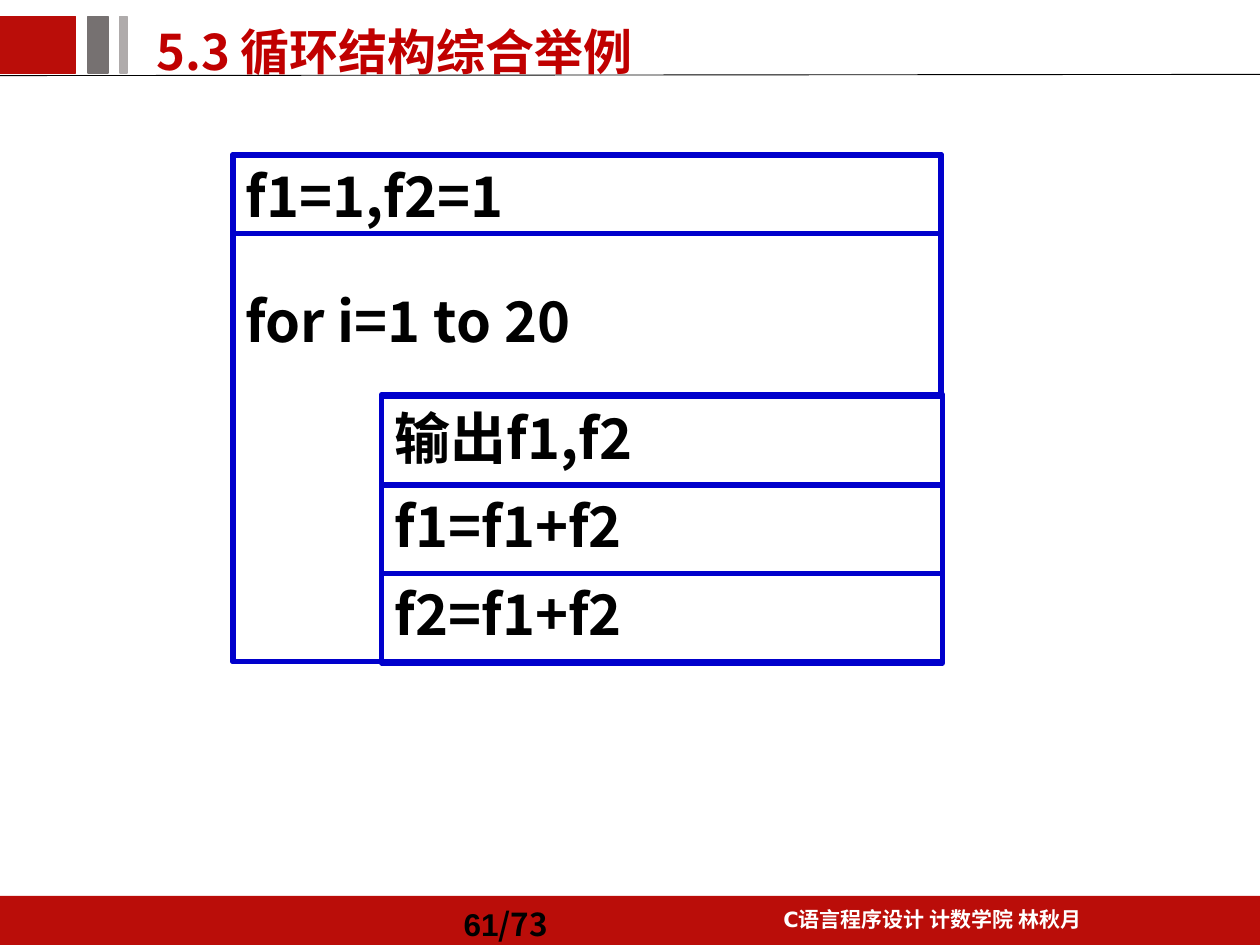
from lxml.etree import SubElement
from pptx import Presentation
from pptx.dml.color import RGBColor
from pptx.enum.shapes import MSO_CONNECTOR, MSO_SHAPE
from pptx.enum.text import MSO_ANCHOR, MSO_AUTO_SIZE, PP_ALIGN
from pptx.oxml.ns import qn
from pptx.util import Pt

COLORS = {
    "red": "BA0D09",
    "title": "C00000",
    "dark_gray": "767171",
    "light_gray": "AFABAB",
    "blue": "0000CC",
    "black": "000000",
    "white": "FFFFFF",
}
CJK_FONT = "Noto Sans CJK SC"


def rgb(name):
    return RGBColor.from_string(COLORS[name])


def place(shape, left, top, width, height):
    shape.left, shape.top = Pt(left), Pt(top)
    shape.width, shape.height = Pt(width), Pt(height)


def add_run(paragraph, text, size, color, font):
    run = paragraph.add_run()
    run.text = text
    run.font.size = Pt(size)
    run.font.bold = True
    run.font.name = font
    run.font.color.rgb = rgb(color)
    SubElement(run.font._element, qn("a:ea")).set("typeface", CJK_FONT)


def write_text(shape, *texts, size=32, color="black", fonts=(CJK_FONT,),
               align=PP_ALIGN.LEFT, anchor=MSO_ANCHOR.TOP, spacing=1.0):
    frame = shape.text_frame
    frame.word_wrap = True
    frame.auto_size = MSO_AUTO_SIZE.NONE
    frame.vertical_anchor = anchor
    paragraph = frame.paragraphs[0]
    paragraph.alignment = align
    paragraph.line_spacing = spacing
    for text, font in zip(texts, fonts):
        add_run(paragraph, text, size, color, font)


def add_box(slide, left, top, width, height, fill="white", line="blue",
            line_width=3, kind=MSO_SHAPE.FLOWCHART_PROCESS):
    shape = slide.shapes.add_shape(
        kind, Pt(left), Pt(top), Pt(width), Pt(height))
    shape.shadow.inherit = False
    shape.fill.solid()
    shape.fill.fore_color.rgb = rgb(fill)
    if line:
        shape.line.color.rgb = rgb(line)
        shape.line.width = Pt(line_width)
    else:
        shape.line.fill.background()
    return shape


def add_label(slide, left, top, width, height, *texts, **text_format):
    label = slide.shapes.add_textbox(
        Pt(left), Pt(top), Pt(width), Pt(height))
    write_text(label, *texts, **text_format)


def add_rule(slide, start, end):
    rule = slide.shapes.add_connector(
        MSO_CONNECTOR.STRAIGHT, *map(Pt, start + end))
    rule.line.color.rgb = rgb("black")
    rule.line.width = Pt(0.5)
    SubElement(rule._element.spPr, qn("a:effectLst"))


def add_header(slide):
    add_rule(slide, (0, 43.2), (720, 42.5))
    for left, width, color in ((0, 43.2, "red"), (50.4, 11.5, "dark_gray"),
                               (68.4, 4.3, "light_gray")):
        add_box(slide, left, 9.4, width, 32.4, fill=color, line=color,
                line_width=1, kind=MSO_SHAPE.RECTANGLE)
    title = slide.shapes.title
    place(title, 82.1, 2.2, 346.3, 44.6)
    write_text(title, "5.3 循环结构综合举例", size=28, color="title", spacing=1.2)


def add_footer(slide):
    add_box(slide, 0, 511.9, 720, 28.1, fill="red", line=None,
            kind=MSO_SHAPE.RECTANGLE)
    add_label(slide, 405.4, 511.9, 254.9, 24.5, "C语言程序设计 计数学院 林秋月",
              size=12, color="white", fonts=("DejaVu Sans",),
              align=PP_ALIGN.CENTER, spacing=1.2)
    add_label(slide, 257.8, 511.9, 102.2, 28.1, "61", "/73", size=18,
              fonts=("Arial", CJK_FONT), anchor=MSO_ANCHOR.MIDDLE, spacing=1.2)


def add_loop_diagram(slide):
    left, top, width, height = 133.2, 88.6, 404.6, 289.4
    first_height = 45
    add_box(slide, left, top, width, height)
    loop = add_box(slide, left, top + first_height, width,
                   height - first_height, kind=MSO_SHAPE.RECTANGLE)
    write_text(loop, "for i=1 to 20", spacing=1.7)

    body_left, body_width, step_height, step_gap = 218.2, 320.4, 50.4, 50.4
    add_box(slide, body_left, 225.4, body_width, 153.4)
    for index, text in enumerate(("输出f1,f2", "f1=f1+f2", "f2=f1+f2")):
        step = add_box(slide, body_left, 226.8 + index * step_gap,
                       body_width, step_height)
        write_text(step, text)

    start = add_box(slide, left, top, width, first_height,
                    kind=MSO_SHAPE.RECTANGLE)
    write_text(start, "f1=1,f2=1")


def main():
    presentation = Presentation()
    presentation.slide_width, presentation.slide_height = Pt(720), Pt(540)
    slide = presentation.slides.add_slide(presentation.slide_layouts[5])
    add_footer(slide)
    add_header(slide)
    add_loop_diagram(slide)
    presentation.save("out.pptx")


if __name__ == "__main__":
    main()
